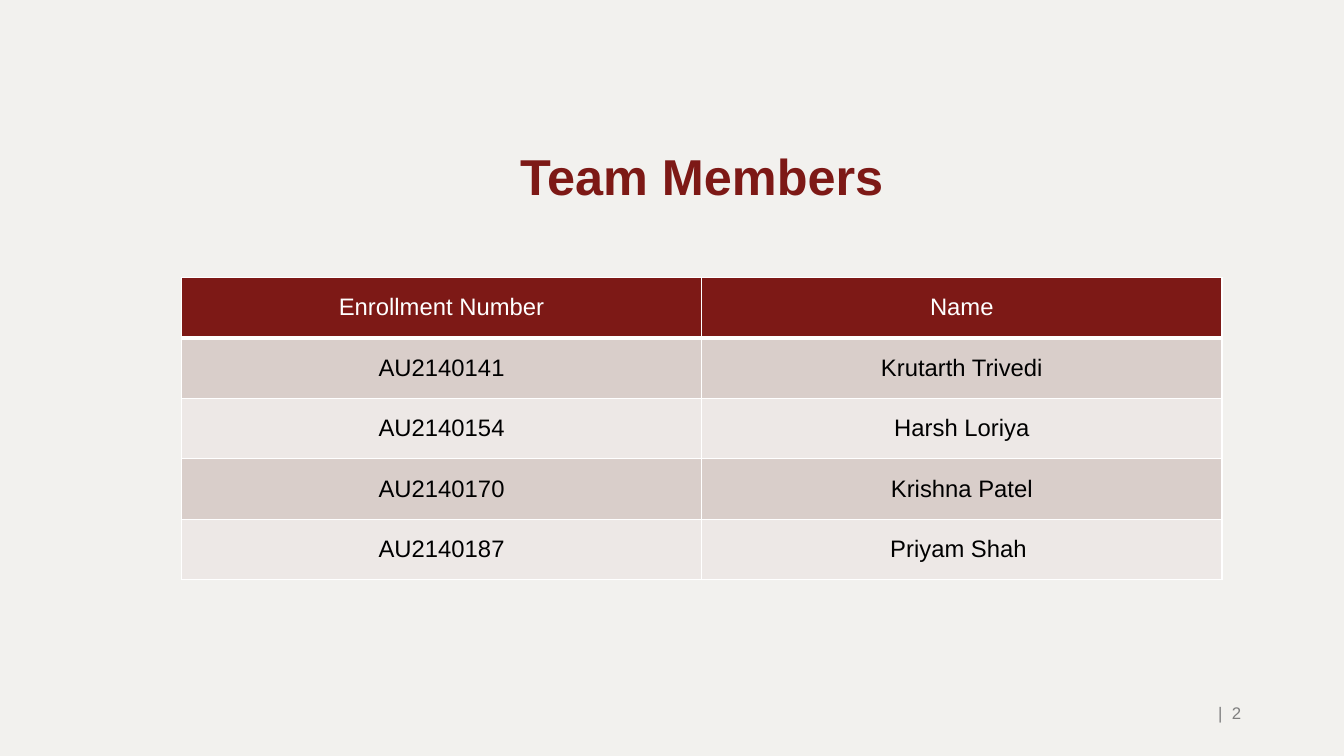
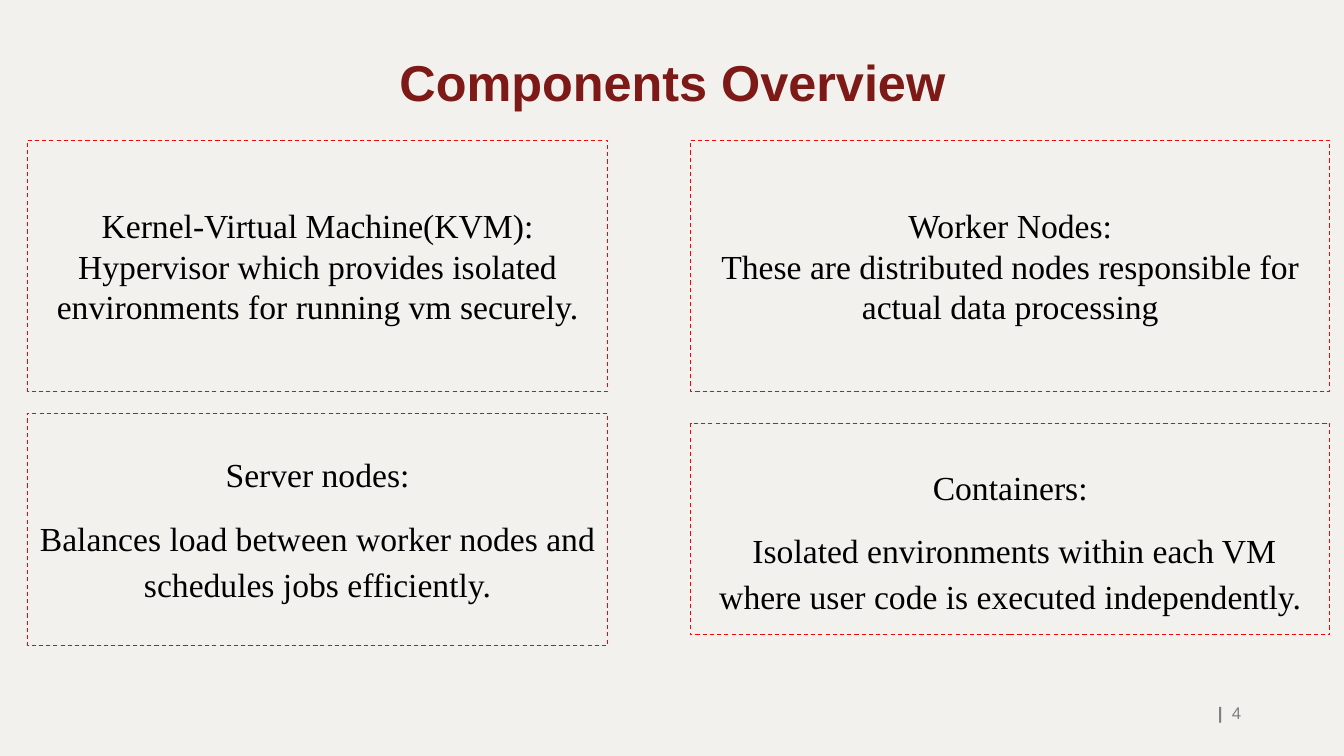
from dataclasses import dataclass

import pptx
import pptx.dml.color
import pptx.enum.dml
import pptx.enum.shapes
import pptx.enum.text
import pptx.oxml
import pptx.oxml.ns
import pptx.util

Inches = pptx.util.Inches
Pt = pptx.util.Pt
RGB = pptx.dml.color.RGBColor.from_string
ALIGN = pptx.enum.text.PP_ALIGN
ANCHOR = pptx.enum.text.MSO_ANCHOR


@dataclass(frozen=True)
class Theme:
    background: str = "F2F1EE"
    maroon: str = "7D1916"
    outline: str = "FF0000"
    ink: str = "000000"
    white: str = "FFFFFF"
    grey: str = "7F7F7F"
    bands: tuple = ("D9CECA", "EDE8E6")
    sans: str = "Arial"
    serif: str = "Times New Roman"
    title_size: int = 36
    card_size: int = 24
    table_size: int = 17
    footer_size: int = 12
    grid_width: int = 1
    header_rule: int = 3


THEME = Theme()
TITLE = dict(name=THEME.sans, size=Pt(THEME.title_size), bold=True, color=THEME.maroon)
FOOTER = dict(name=THEME.sans, size=Pt(THEME.footer_size), bold=False, color=THEME.grey)
CARD = dict(name=THEME.serif, size=Pt(THEME.card_size), bold=False, color=THEME.ink)
BODY_CELL = dict(name=THEME.sans, size=Pt(THEME.table_size), bold=False, color=THEME.ink)
HEADER_CELL = {**BODY_CELL, "color": THEME.white}

MEMBERS = [
    ("Enrollment Number", "Name"),
    ("AU2140141", "Krutarth Trivedi"),
    ("AU2140154", "Harsh Loriya"),
    ("AU2140170", "Krishna Patel"),
    ("AU2140187", "Priyam Shah "),
]

TIGHT = {}
AIRY = dict(line_spacing=1.15, space_before=Pt(12))

# box, top inset, heading, description, description spacing
COMPONENTS = [
    ((0.27, 1.39, 5.76, 2.49), 0.1, "Kernel-Virtual Machine(KVM):",
     "Hypervisor which provides isolated environments for running vm securely.", TIGHT),
    ((6.85, 1.39, 6.34, 2.49), 0.1, "Worker Nodes:",
     "These are distributed nodes responsible for actual data processing", TIGHT),
    ((0.27, 4.1, 5.76, 2.3), 0.1, "Server nodes:",
     "Balances load between worker nodes and schedules jobs efficiently.", AIRY),
    ((6.85, 4.2, 6.34, 2.1), 0.35, "Containers:",
     " Isolated environments within each VM where user code is executed independently.", AIRY),
]


def set_all(target, values):
    for key, value in values.items():
        setattr(target, key, value)


def inches(box):
    return [Inches(length) for length in box]


def add_run(paragraph, text, style):
    run = paragraph.add_run()
    run.text = text
    for key, value in style.items():
        if key == "color":
            run.font.color.rgb = RGB(value)
        else:
            setattr(run.font, key, value)
    return run


def add_titled_slide(deck, title, title_box, page, bold_bar=False):
    slide = deck.slides.add_slide(deck.slide_layouts[5])
    heading = slide.shapes.title
    set_all(heading, dict(zip(("left", "top", "width", "height"), inches(title_box))))
    set_all(heading.text_frame, dict(
        vertical_anchor=ANCHOR.BOTTOM, word_wrap=True,
        auto_size=pptx.enum.text.MSO_AUTO_SIZE.NONE))
    paragraph = heading.text_frame.paragraphs[0]
    set_all(paragraph, dict(alignment=ALIGN.CENTER, line_spacing=0.9))
    add_run(paragraph, title, TITLE)
    add_page_number(slide, (11.81, 6.87, 0.6, 0.41), page, bold_bar)
    return slide


def add_page_number(slide, box, page, bold_bar):
    frame = slide.shapes.add_textbox(*inches(box)).text_frame
    set_all(frame, dict(word_wrap=True, vertical_anchor=ANCHOR.MIDDLE))
    paragraph = frame.paragraphs[0]
    paragraph.alignment = ALIGN.RIGHT
    add_run(paragraph, "|  ", {**FOOTER, "bold": bold_bar})
    add_run(paragraph, str(page), FOOTER)


def set_borders(cell, widths):
    """Draw white cell edges; widths maps L, R, T and B to points."""
    properties = cell._tc.get_or_add_tcPr()
    for side, width in widths.items():
        properties.append(pptx.oxml.parse_xml(
            f'<a:ln{side} {pptx.oxml.ns.nsdecls("a")} w="{Pt(width)}">'
            f'<a:solidFill><a:srgbClr val="{THEME.white}"/></a:solidFill></a:ln{side}>'))


def add_member_table(slide, box, rows):
    table = slide.shapes.add_table(len(rows), len(rows[0]), *inches(box)).table
    for r, row in enumerate(rows):
        style = BODY_CELL if r else HEADER_CELL
        fill = THEME.bands[(r - 1) % 2] if r else THEME.maroon
        widths = dict.fromkeys("LRTB", THEME.grid_width)
        if r < 2:
            widths["T" if r else "B"] = THEME.header_rule
        for c, text in enumerate(row):
            cell = table.cell(r, c)
            set_borders(cell, widths)
            cell.fill.solid()
            cell.fill.fore_color.rgb = RGB(fill)
            cell.vertical_anchor = ANCHOR.MIDDLE
            paragraph = cell.text_frame.paragraphs[0]
            paragraph.alignment = ALIGN.CENTER
            add_run(paragraph, text, style)


def add_component_card(slide, box, top_inset, heading, description, spacing):
    card = slide.shapes.add_shape(pptx.enum.shapes.MSO_SHAPE.RECTANGLE, *inches(box))
    card.shadow.inherit = False
    card.fill.solid()
    card.fill.fore_color.rgb = RGB(THEME.background)
    card.line.color.rgb = RGB(THEME.outline)
    set_all(card.line, dict(width=Pt(0.75), dash_style=pptx.enum.dml.MSO_LINE.DASH))
    frame = card.text_frame
    set_all(frame, dict(
        word_wrap=True, vertical_anchor=ANCHOR.MIDDLE,
        margin_left=Inches(0.1), margin_right=Inches(0.1),
        margin_top=Inches(top_inset), margin_bottom=Inches(0.1)))
    for paragraph, text, layout in (
        (frame.paragraphs[0], heading, TIGHT),
        (frame.add_paragraph(), description, spacing),
    ):
        set_all(paragraph, {"alignment": ALIGN.CENTER, **layout})
        add_run(paragraph, text, CARD)


def build_team_slide(deck):
    slide = add_titled_slide(deck, "Team Members", (1.8, 1.15, 10.32, 0.95), 2)
    add_member_table(slide, (1.8, 2.75, 10.32, 3), MEMBERS)


def build_components_slide(deck):
    slide = add_titled_slide(
        deck, "Components Overview", (0.92, 0.19, 11.5, 0.98), 4, bold_bar=True)
    for component in COMPONENTS:
        add_component_card(slide, *component)


def main():
    deck = pptx.Presentation()
    set_all(deck, dict(slide_width=Inches(13.33), slide_height=Inches(7.5)))
    background = deck.slide_master.background.fill
    background.solid()
    background.fore_color.rgb = RGB(THEME.background)
    build_team_slide(deck)
    build_components_slide(deck)
    deck.save("out.pptx")


if __name__ == "__main__":
    main()
